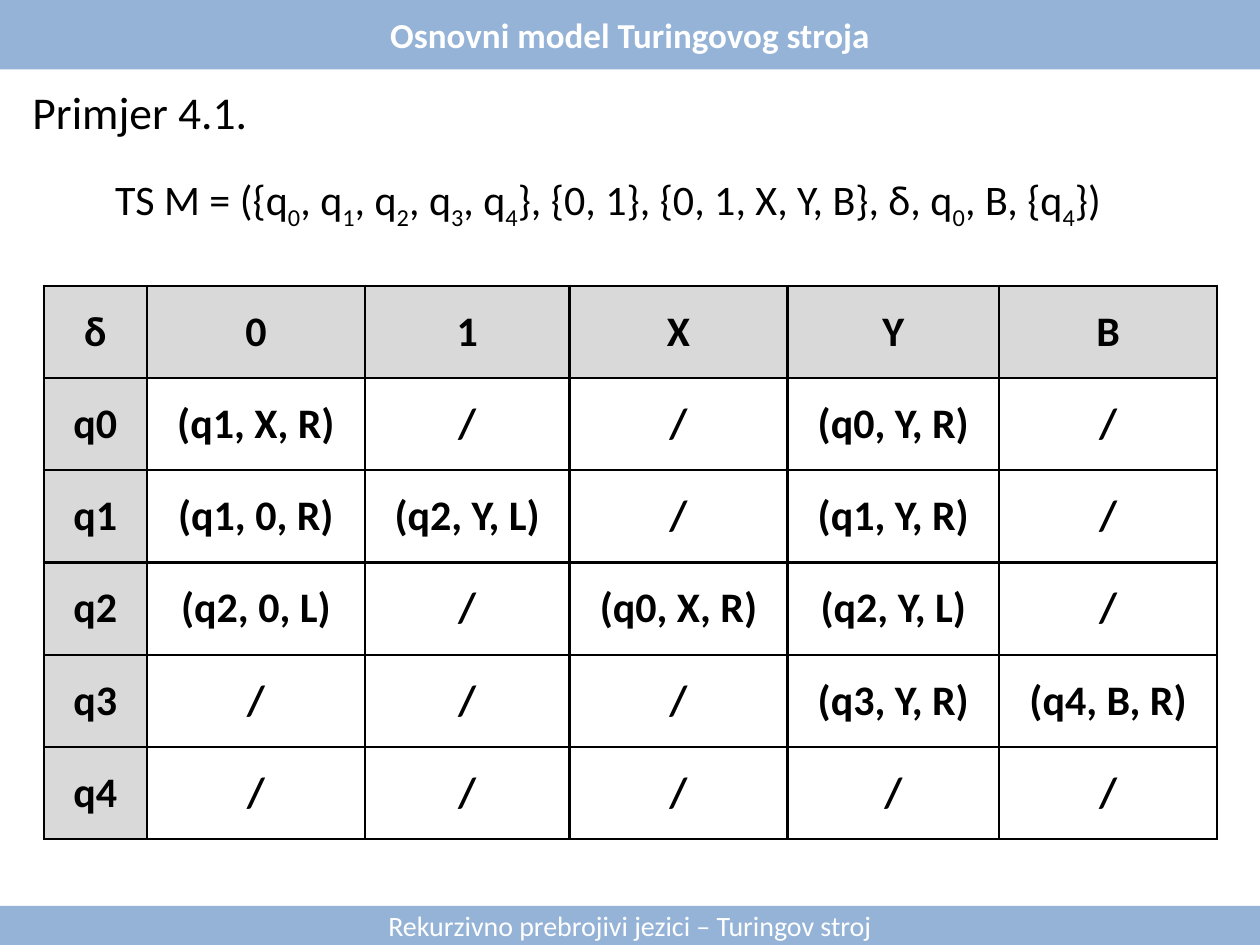
from lxml import etree
from pptx import Presentation
from pptx.dml.color import RGBColor
from pptx.enum.shapes import MSO_SHAPE
from pptx.enum.text import MSO_ANCHOR, PP_ALIGN
from pptx.oxml.ns import qn
from pptx.util import Pt

BAND = MSO_SHAPE.ROUND_2_SAME_RECTANGLE
MIDDLE = MSO_ANCHOR.MIDDLE
LEFT, CENTER = PP_ALIGN.LEFT, PP_ALIGN.CENTER

FONT = "Calibri"
BLUE, GREY, WHITE, BLACK = "95B3D7", "D9D9D9", "FFFFFF", "000000"

MACHINE = ("TS M = ({q_0_, q_1_, q_2_, q_3_, q_4_}, {0, 1}, "
           "{0, 1, X, Y, B}, δ, q_0_, B, {q_4_})")
TRANSITIONS = [
    ["δ", "0", "1", "X", "Y", "B"],
    ["q0", "(q1, X, R)", "/", "/", "(q0, Y, R)", "/"],
    ["q1", "(q1, 0, R)", "(q2, Y, L)", "/", "(q1, Y, R)", "/"],
    ["q2", "(q2, 0, L)", "/", "(q0, X, R)", "(q2, Y, L)", "/"],
    ["q3", "/", "/", "/", "(q3, Y, R)", "(q4, B, R)"],
    ["q4", "/", "/", "/", "/", "/"],
]
COL_WIDTHS = [59, 124.5, 117, 124.5, 121, 124.5]
ROW_HEIGHT = 52.7


def rgb(color):
    return RGBColor.from_string(color)


def write(tf, text, size=24, color=BLACK, bold=False, align=CENTER):
    p = tf.paragraphs[0]
    p.alignment = align
    for i, part in enumerate(text.split("_")):
        r = p.add_run()
        r.text = part
        r.font.name = FONT
        r.font.size = Pt(size)
        r.font.bold = bold
        r.font.color.rgb = rgb(color)
        if i % 2:
            r._r.get_or_add_rPr().set("baseline", "-25000")


def add_band(s, top, height, text, **fmt):
    sp = s.shapes.add_shape(BAND, 0, Pt(top), Pt(720), Pt(height))
    sp.adjustments[0] = sp.adjustments[1] = 0
    sp.shadow.inherit = False
    sp.fill.solid()
    sp.fill.fore_color.rgb = rgb(BLUE)
    sp.line.fill.background()
    sp.text_frame.vertical_anchor = MIDDLE
    write(sp.text_frame, text, color=WHITE, **fmt)


def add_label(s, left, top, width, height, text, **fmt):
    sp = s.shapes.add_textbox(Pt(left), Pt(top), Pt(width), Pt(height))
    sp.text_frame.word_wrap = False
    write(sp.text_frame, text, **fmt)


def add_borders(cell, width=1.5, color=BLACK):
    tcPr = cell._tc.get_or_add_tcPr()
    for side in ("lnL", "lnR", "lnT", "lnB"):
        ln = etree.SubElement(tcPr, qn("a:" + side), w=str(Pt(width)))
        fill = etree.SubElement(ln, qn("a:solidFill"))
        etree.SubElement(fill, qn("a:srgbClr"), val=color)


def format_cell(cell, text, fill):
    cell.margin_left = cell.margin_right = Pt(14.4)
    cell.margin_top = cell.margin_bottom = Pt(7.2)
    cell.vertical_anchor = MIDDLE
    add_borders(cell)
    cell.fill.solid()
    cell.fill.fore_color.rgb = rgb(fill)
    write(cell.text_frame, text, bold=True)


def add_grid(s, left, top, rows):
    table = s.shapes.add_table(len(rows), len(COL_WIDTHS), Pt(left), Pt(top),
                               Pt(sum(COL_WIDTHS)), Pt(ROW_HEIGHT * len(rows))).table
    for col, width in zip(table.columns, COL_WIDTHS):
        col.width = Pt(width)
    for i, row in enumerate(rows):
        table.rows[i].height = Pt(ROW_HEIGHT)
        for j, text in enumerate(row):
            header = i == 0 or j == 0
            format_cell(table.cell(i, j), text, GREY if header else WHITE)


def main():
    prs = Presentation()
    prs.slide_width, prs.slide_height = Pt(720), Pt(540)
    s = prs.slides.add_slide(prs.slide_layouts[6])
    add_band(s, 0, 39.6, "Osnovni model Turingovog stroja", size=20, bold=True)
    add_band(s, 517.7, 22.3, "Rekurzivno prebrojivi jezici – Turingov stroj", size=16)
    add_grid(s, 25, 163.3, TRANSITIONS)
    add_label(s, 11.5, 44.6, 139, 38.9, "Primjer 4.1.", size=26, align=LEFT)
    add_label(s, 50.4, 95.8, 594, 36, MACHINE)
    prs.save("out.pptx")


if __name__ == "__main__":
    main()
